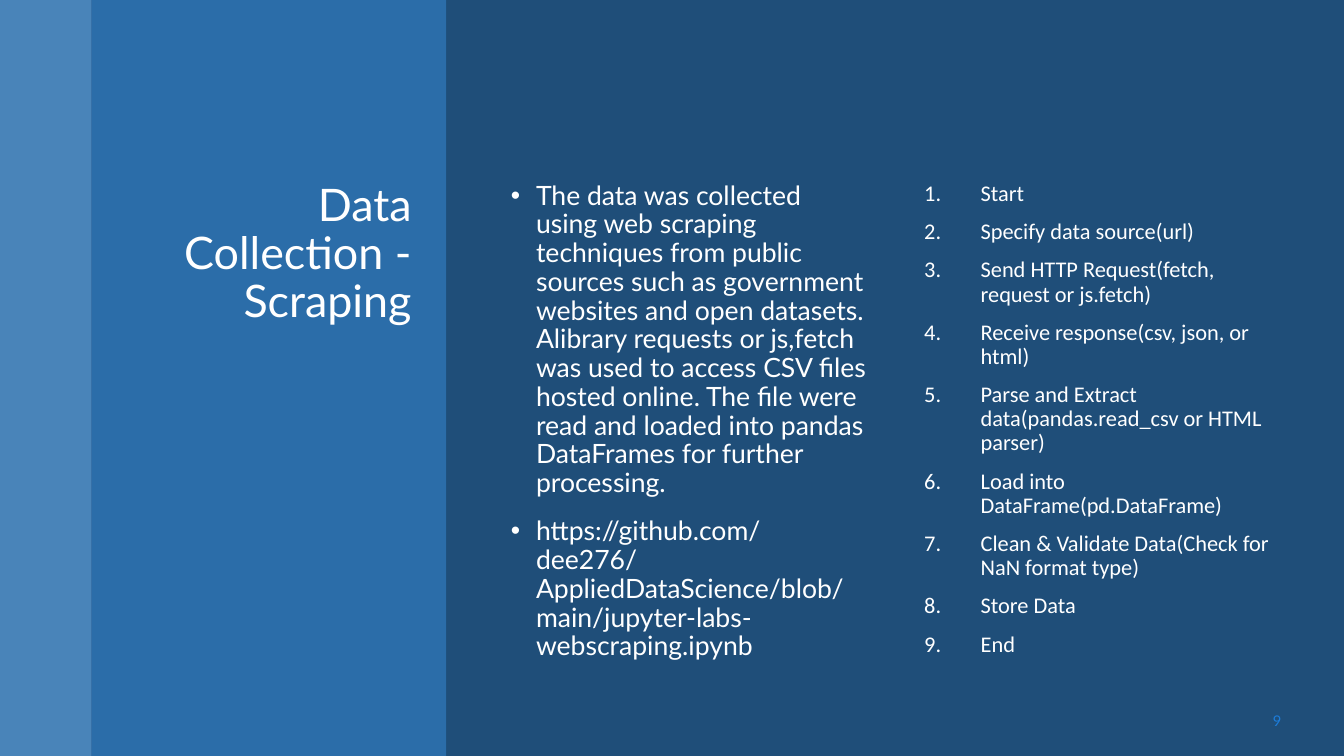
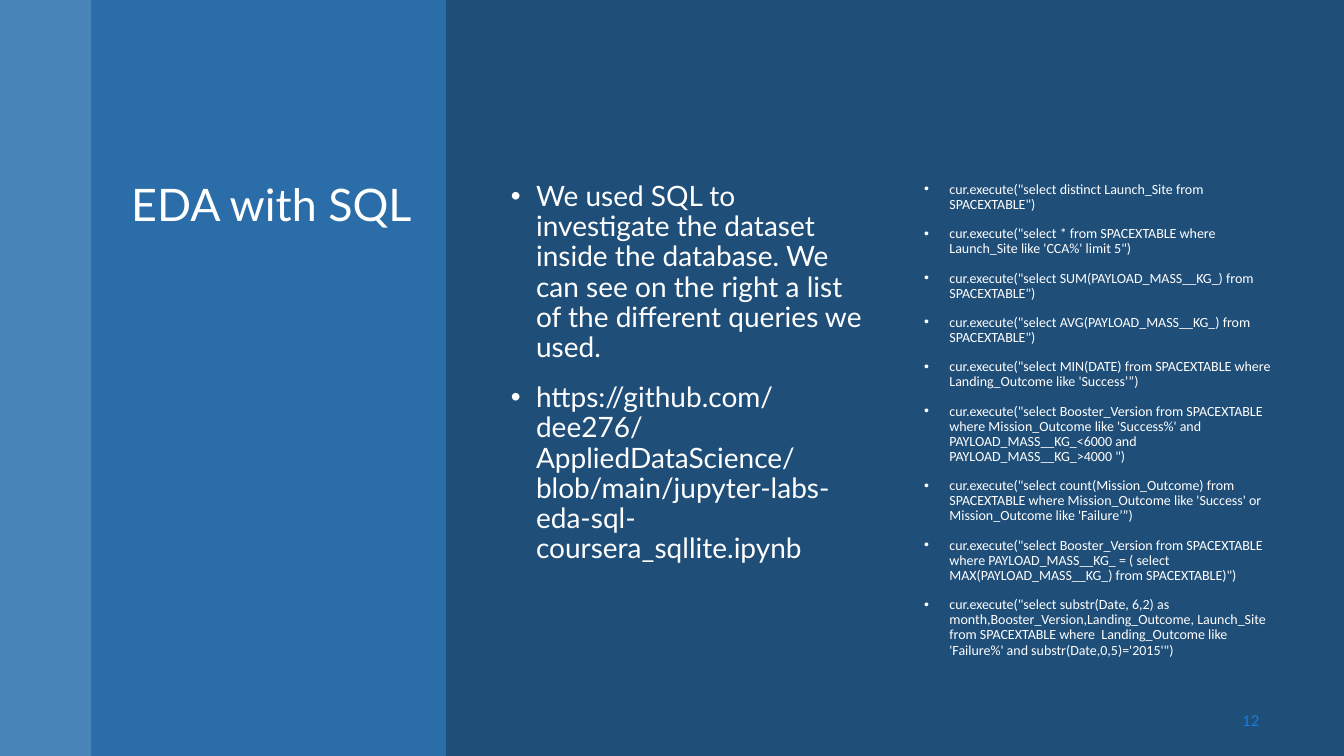
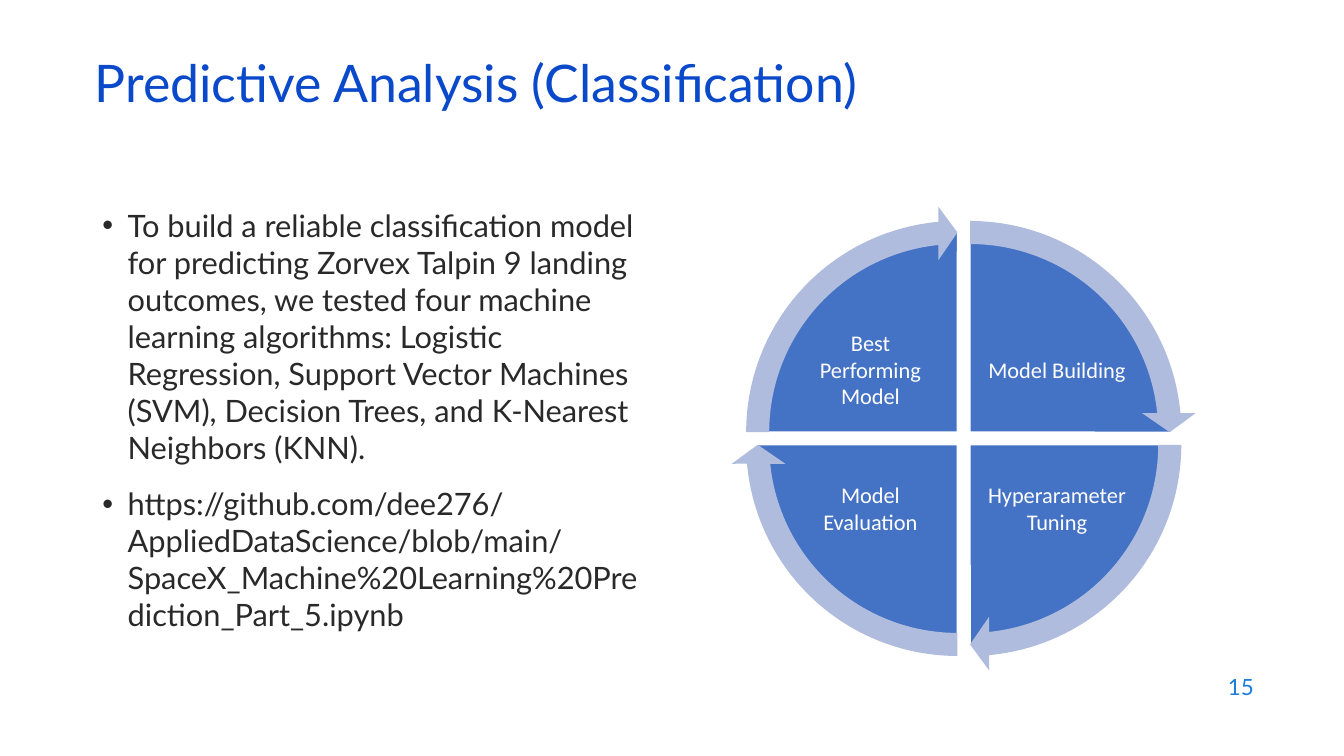
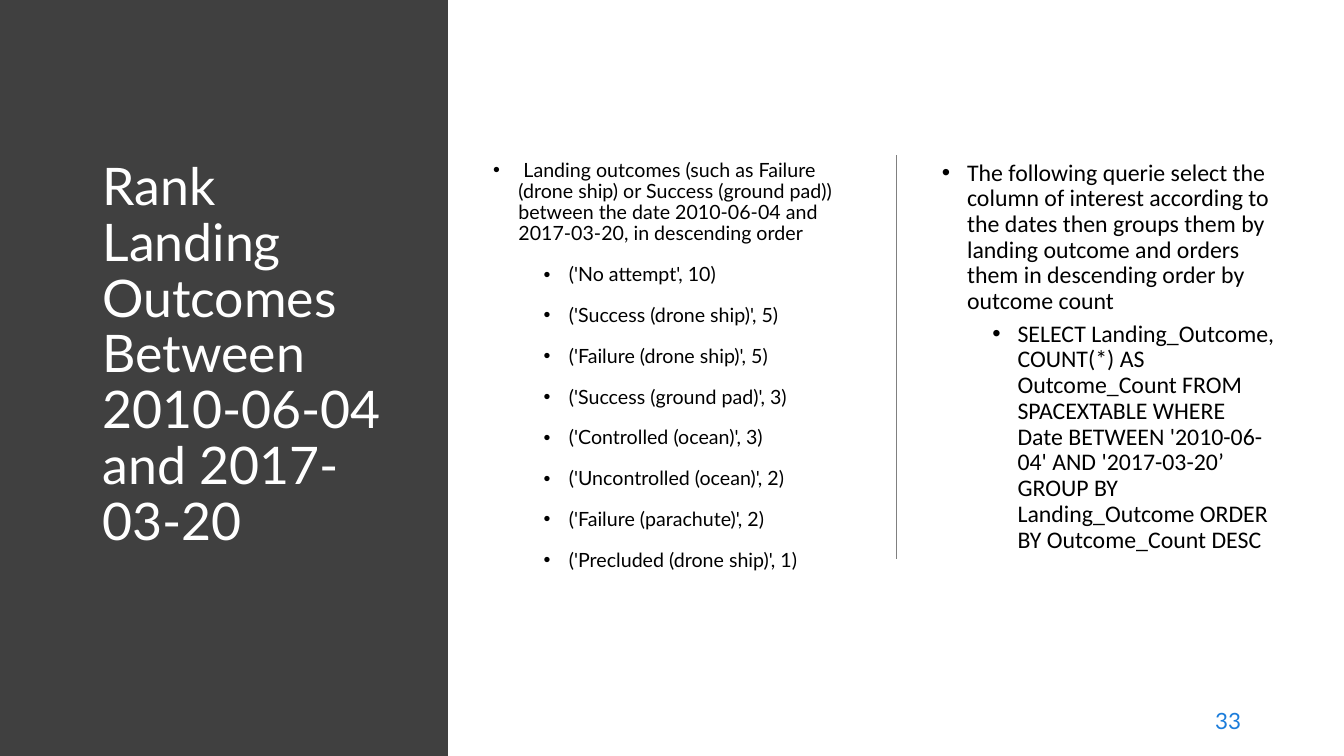
from collections import namedtuple

from lxml.etree import SubElement
from pptx import Presentation
from pptx.dml.color import RGBColor
from pptx.enum.shapes import MSO_CONNECTOR as LINE, MSO_SHAPE as SHAPE
from pptx.enum.text import MSO_ANCHOR as ANCHOR, MSO_AUTO_SIZE as FIT, PP_ALIGN as ALIGN
from pptx.oxml.ns import qn
from pptx.util import Inches, Pt

COLORS = {
    "navy": "1F4E79",
    "sky": "5B9BD5",
    "blue": "2E75B6",
    "white": "FFFFFF",
    "black": "000000",
    "ink": "292929",
    "heading": "0B49CB",
    "number": "1C7DDB",
    "charcoal": "404040",
    "rule": "808080",
    "pie": "4472C4",
    "arrow": "B0BCDE",
}
ROWS, COLS = 9, 16
HEIGHT = 7.5
CELL = Inches(HEIGHT) / ROWS
QUARTER, FULL_TURN = 54, 216
TWO_CONTENT, ONE_CONTENT = 3, 1

Box = namedtuple("Box", "x y w h")
PAGE = Box(0, 0, COLS, ROWS)


def emu(box):
    return [round(v * CELL) for v in box]


def color(name):
    return RGBColor.from_string(COLORS[name])


def place(sp, box):
    sp.left, sp.top, sp.width, sp.height = emu(box)


def bullet(p, level, hang, numbered):
    pPr = p._p.get_or_add_pPr()
    pPr.set("marL", str(Inches(hang + 0.5 * level)))
    pPr.set("indent", str(-Inches(hang)))
    if numbered:
        SubElement(pPr, qn("a:buFont")).set("typeface", "+mj-lt")
        SubElement(pPr, qn("a:buAutoNum")).set("type", "arabicPeriod")
    else:
        SubElement(pPr, qn("a:buFont")).set("typeface", "Arial")
        SubElement(pPr, qn("a:buChar")).set("char", "•")


def write(sp, items, size, fill, font="Lato", align=ALIGN.LEFT, anchor=ANCHOR.TOP,
          spacing=1.0, before=0, sub_before=None, hang=None, numbered=False, inset=None):
    tf = sp.text_frame
    tf.word_wrap = True
    tf.auto_size = FIT.NONE
    tf.vertical_anchor = anchor
    if inset is not None:
        tf.margin_left = tf.margin_right = tf.margin_top = tf.margin_bottom = Inches(inset)
    for i, item in enumerate(items):
        text, level = item if isinstance(item, tuple) else (item, 0)
        p = tf.paragraphs[0] if i == 0 else tf.add_paragraph()
        if hang:
            bullet(p, level, hang, numbered)
        p.level = level
        p.alignment = align
        p.line_spacing = spacing
        gap = sub_before if level and sub_before is not None else before
        p.space_before = Pt(gap if i else 0)
        r = p.add_run()
        r.text = text
        r.font.size = Pt(size)
        r.font.name = font
        r.font.color.rgb = color(fill)


def shape(shapes, kind, box, fill, alpha=None, line=None, adjust=()):
    sp = shapes.add_shape(kind, *emu(box))
    sp.shadow.inherit = False
    for i, value in enumerate(adjust):
        sp.adjustments[i] = value
    if fill:
        sp.fill.solid()
        sp.fill.fore_color.rgb = color(fill)
    else:
        sp.fill.background()
    if alpha:
        clr = sp._element.spPr.find(".//" + qn("a:srgbClr"))
        SubElement(clr, qn("a:alpha")).set("val", str(alpha * 1000))
    if line:
        sp.line.color.rgb = color(line)
        sp.line.width = Pt(1)
    else:
        sp.line.fill.background()
    return sp


def new_slide(prs, layout, background):
    s = prs.slides.add_slide(prs.slide_layouts[layout])
    s.background.fill.solid()
    s.background.fill.fore_color.rgb = color(background)
    return s


def title(s, box, text, **fmt):
    place(s.shapes.title, box)
    write(s.shapes.title, [text], **fmt)


def body(s, idx, box, items, **fmt):
    sp = s.placeholders[idx]
    place(sp, box)
    write(sp, items, **{"hang": 0.25, **fmt})


def page_number(s, box, number, size, oval=False):
    sp = shape(s.shapes, SHAPE.OVAL, box, None) if oval else s.shapes.add_textbox(*emu(box))
    write(sp, [number], size, "number", align=ALIGN.RIGHT, anchor=ANCHOR.MIDDLE)


def send_to_back(s, sp):
    s.shapes._spTree.insert(2, sp._element)


def dark_slide(prs, heading, left, right, number, left_size, right_fmt, oval=False):
    s = new_slide(prs, TWO_CONTENT, "navy")
    edge = 1.09
    send_to_back(s, shape(s.shapes, SHAPE.RECTANGLE, Box(edge, 0, 4.22, PAGE.h), "blue", 80))
    send_to_back(s, shape(s.shapes, SHAPE.RECTANGLE, Box(0, 0, edge, PAGE.h), "sky", 70))
    top, height, width = 2.11, 5.9, 4.49
    title(s, Box(1.31, top, 3.71, height), heading, size=32, fill="white",
          align=ALIGN.RIGHT, spacing=0.9)
    body(s, 1, Box(5.96, top, width, height), left, size=left_size, fill="white",
         spacing=0.9, before=14)
    body(s, 2, Box(10.88, top, width, height), right, fill="white", font="Calibri",
         spacing=0.9, before=10, **right_fmt)
    page_number(s, Box(13.58, 8.34, 1.79, 0.48), number, 10.5, oval)


def cycle(s, box, labels):
    group = s.shapes.add_group_shape().shapes
    gap, inset, head = 0.15, 0.3, 3.275
    ring = box.w - gap
    pie = ring - 2 * inset
    label_w, label_h, off_x, off_y = 1.74, 1.31, 0.24, 0.17
    mid_x, mid_y = box.x + box.w / 2, box.y + box.h / 2
    quarters = []
    for i, label in enumerate(labels):
        start = (FULL_TURN - QUARTER + i * QUARTER) % FULL_TURN
        end = start + QUARTER
        right, low = i in (0, 1), i in (1, 2)
        x, y = box.x + gap * right, box.y + gap * low
        quarters.append((x, y, start, end))
        shape(group, SHAPE.PIE, Box(x + inset, y + inset, pie, pie), "pie",
              line="white", adjust=(start, end % FULL_TURN))
        label_x = mid_x + off_x if right else mid_x - off_x - label_w
        label_y = mid_y + off_y if low else mid_y - off_y - label_h
        sp = group.add_textbox(*emu(Box(label_x, label_y, label_w, label_h)))
        write(sp, [label], 16, "white", font="Calibri", align=ALIGN.CENTER,
              anchor=ANCHOR.MIDDLE, inset=0.02)
    for x, y, start, end in quarters:
        shape(group, SHAPE.CIRCULAR_ARROW, Box(x, y, ring, ring), "arrow",
              adjust=(0.051, head, end - head, start, 0.059))


def cycle_slide(prs, heading, items, labels, number):
    s = new_slide(prs, ONE_CONTENT, "white")
    title(s, Box(1.01, 0.71, 13.8, 0.72), heading, size=37, fill="heading",
          anchor=ANCHOR.MIDDLE, spacing=0.7)
    body(s, 1, Box(1.1, 2.4, 6.8, 5.71), items, size=22, fill="ink", before=14)
    cycle(s, Box(8.7, 2.45, 5.54, 5.54), labels)
    page_number(s, Box(11.44, 7.91, 3.6, 0.53), number, 16)


def divider(s, x, top, bottom):
    start_x, start_y, end_x, end_y = emu((x, top, x, bottom))
    ln = s.shapes.add_connector(LINE.STRAIGHT, start_x, start_y, end_x, end_y)
    ln.line.color.rgb = color("rule")
    ln.line.width = Pt(1)
    SubElement(ln._element.spPr, qn("a:effectLst"))


def ranking_slide(prs, heading, left, right, number):
    s = new_slide(prs, TWO_CONTENT, "white")
    send_to_back(s, shape(s.shapes, SHAPE.RECTANGLE, Box(0, 0, 5.33, PAGE.h), "charcoal"))
    top, height = 1.85, 5.72
    title(s, Box(1.1, top, 3.8, height), heading, size=37, fill="white", spacing=0.9)
    body(s, 1, Box(5.75, top, 4.5, height), left, size=14, fill="black",
         spacing=0.9, before=14)
    divider(s, 10.67, top, top + 4.8)
    body(s, 2, Box(11.09, top, 4.2, height), right, size=17, fill="black",
         font="Calibri", spacing=0.9, before=10, sub_before=5)
    page_number(s, Box(12.07, 8.34, 2.82, 0.48), number, 16)


def main():
    prs = Presentation()
    prs.slide_width, prs.slide_height = Inches(13.33), Inches(HEIGHT)

    dark_slide(
        prs,
        "Data Collection - Scraping",
        [
            "The data was collected using web scraping techniques from public sources such as "
            "government websites and open datasets. Alibrary requests or js,fetch was used to "
            "access CSV files hosted online. The file were read and loaded into pandas "
            "DataFrames for further processing.",
            "https://github.com/dee276/AppliedDataScience/blob/main/jupyter-labs-webscraping.ipynb",
        ],
        [
            "Start",
            "Specify data source(url)",
            "Send HTTP Request(fetch, request or js.fetch)",
            "Receive response(csv, json, or html)",
            "Parse and Extract data(pandas.read_csv or HTML parser)",
            "Load into DataFrame(pd.DataFrame)",
            "Clean & Validate Data(Check for NaN format type)",
            "Store Data",
            "End",
        ],
        "9", 19, {"size": 16, "hang": 0.56, "numbered": True},
    )

    dark_slide(
        prs,
        "EDA with SQL",
        [
            "We used SQL to investigate the dataset inside the database. We can see on the right "
            "a list of the different queries we used.",
            "https://github.com/dee276/AppliedDataScience/blob/main/"
            "jupyter-labs-eda-sql-coursera_sqllite.ipynb",
        ],
        [
            'cur.execute("select distinct Launch_Site from SPACEXTABLE")',
            "cur.execute(\"select * from SPACEXTABLE where Launch_Site like 'CCA%' limit 5\")",
            'cur.execute("select SUM(PAYLOAD_MASS__KG_) from SPACEXTABLE")',
            'cur.execute("select AVG(PAYLOAD_MASS__KG_) from SPACEXTABLE")',
            "cur.execute(\"select MIN(DATE) from SPACEXTABLE where Landing_Outcome like 'Success’”)",
            "cur.execute(\"select Booster_Version from SPACEXTABLE where Mission_Outcome like "
            "'Success%' and PAYLOAD_MASS__KG_<6000 and PAYLOAD_MASS__KG_>4000 \")",
            "cur.execute(\"select count(Mission_Outcome) from SPACEXTABLE where Mission_Outcome "
            "like 'Success' or  Mission_Outcome like 'Failure’”)",
            'cur.execute("select Booster_Version from SPACEXTABLE where PAYLOAD_MASS__KG_ = '
            '( select MAX(PAYLOAD_MASS__KG_) from SPACEXTABLE)")',
            "cur.execute(\"select substr(Date, 6,2) as month,Booster_Version,Landing_Outcome, "
            "Launch_Site from SPACEXTABLE where  Landing_Outcome like 'Failure%' and "
            "substr(Date,0,5)='2015'\")",
        ],
        "12", 20, {"size": 10}, oval=True,
    )

    cycle_slide(
        prs,
        "Predictive Analysis (Classification)",
        [
            "To build a reliable classification model for predicting Zorvex Talpin 9 landing "
            "outcomes, we tested four machine learning algorithms: Logistic Regression, Support "
            "Vector Machines (SVM), Decision Trees, and K-Nearest Neighbors (KNN).",
            "https://github.com/dee276/AppliedDataScience/blob/main/"
            "SpaceX_Machine%20Learning%20Prediction_Part_5.ipynb",
        ],
        ["Model Building", "Hyperarameter Tuning", "Model Evaluation", "Best Performing Model"],
        "15",
    )

    outcomes = [
        ("No attempt", 10),
        ("Success (drone ship)", 5),
        ("Failure (drone ship)", 5),
        ("Success (ground pad)", 3),
        ("Controlled (ocean)", 3),
        ("Uncontrolled (ocean)", 2),
        ("Failure (parachute)", 2),
        ("Precluded (drone ship)", 1),
    ]
    ranking_slide(
        prs,
        "Rank Landing Outcomes Between 2010-06-04 and 2017-03-20",
        [
            " Landing outcomes (such as Failure (drone ship) or Success (ground pad)) between "
            "the date 2010-06-04 and 2017-03-20, in descending order",
            *((f"('{name}', {count})", 1) for name, count in outcomes),
        ],
        [
            "The following querie select the column of interest according to the dates then "
            "groups them by landing outcome and orders them in descending order by outcome count",
            ("SELECT Landing_Outcome, COUNT(*) AS Outcome_Count FROM SPACEXTABLE WHERE Date "
             "BETWEEN '2010-06-04' AND '2017-03-20’ GROUP BY Landing_Outcome ORDER BY "
             "Outcome_Count DESC", 1),
        ],
        "33",
    )

    prs.save("out.pptx")


if __name__ == "__main__":
    main()
